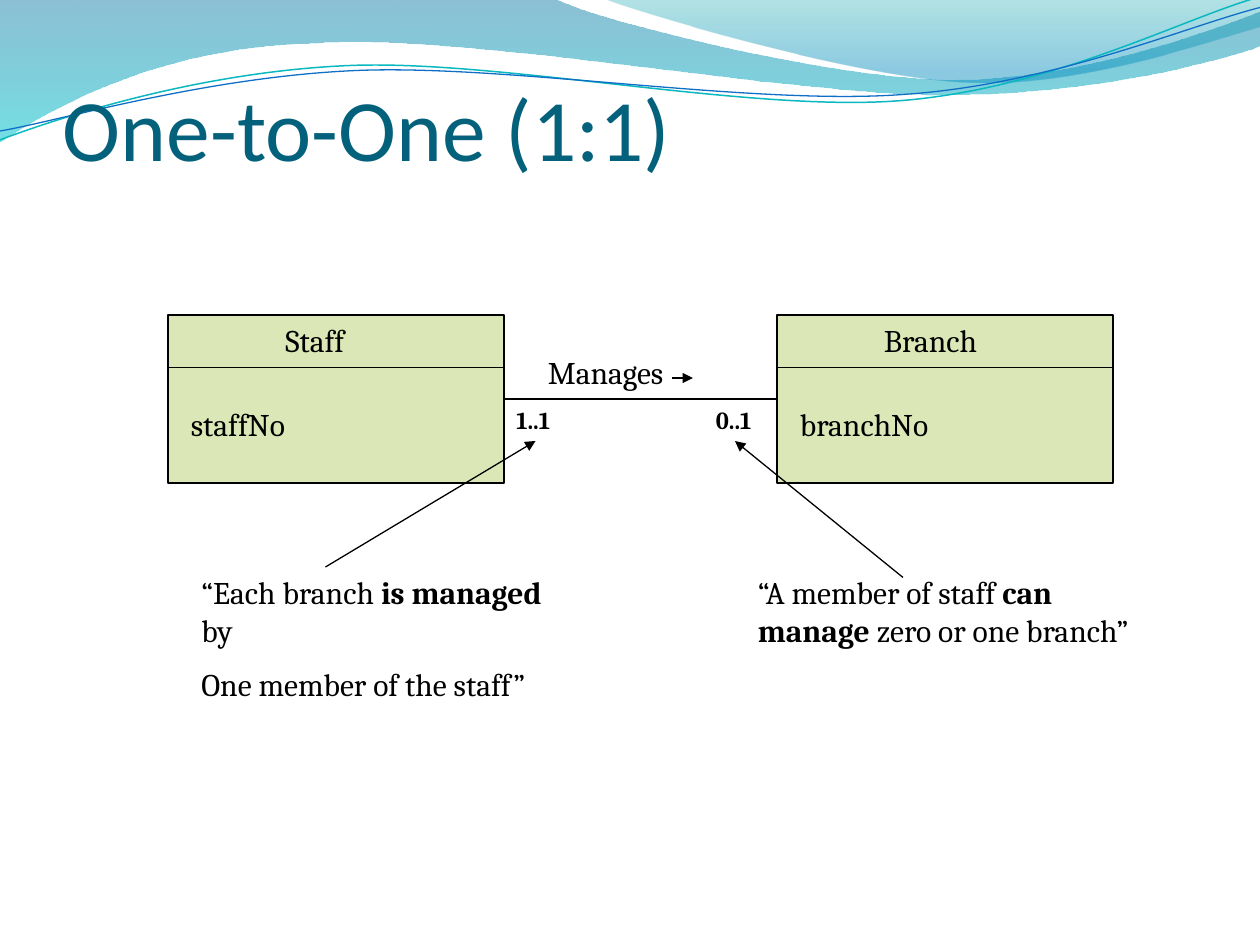
from math import cos, radians, sin

from lxml import etree
from pptx import Presentation
from pptx.dml.color import RGBColor
from pptx.enum.shapes import MSO_CONNECTOR, MSO_SHAPE
from pptx.enum.text import MSO_ANCHOR, MSO_AUTO_SIZE
from pptx.oxml.ns import qn
from pptx.util import Inches, Pt

STRAIGHT = MSO_CONNECTOR.STRAIGHT
RECTANGLE = MSO_SHAPE.RECTANGLE
BOTTOM = MSO_ANCHOR.BOTTOM
GROW, FIXED = MSO_AUTO_SIZE.SHAPE_TO_FIT_TEXT, MSO_AUTO_SIZE.NONE

COLORS = {
    "title": "04617B", "ink": "000000", "entity": "DBE7B6",
    "wave_top": "0074A1", "wave_bottom": "00C6CF",
    "crest_top": "00A1A9", "crest_bottom": "008BBF",
    "teal": "0AB8BF", "blue": "0F6FC6",
}
TILT = 2.7  # degrees by which the ripples are turned counter-clockwise


def rgb(name):
    return RGBColor.from_string(COLORS[name])


def grid(n):
    """The diagram sits on a grid of twelve steps to the inch."""
    return Inches(n / 12)


def add_outline(s, start, segments, close):
    """Each segment holds one point (line) or three points (Bezier curve)."""
    points = [(Inches(x), Inches(y)) for seg in segments for x, y in seg]
    builder = s.shapes.build_freeform(Inches(start[0]), Inches(start[1]))
    builder.add_line_segments(points, close=close)
    sp = builder.convert_to_shape()
    sp.shadow.inherit = False
    # Join the three points of each curve
    lines = iter(list(sp._element.spPr.iter(qn("a:lnTo"))))
    for seg in segments:
        group = [next(lines) for _ in seg]
        if len(group) == 3:
            curve = etree.Element(qn("a:cubicBezTo"))
            group[0].addprevious(curve)
            for line in group:
                curve.append(line[0])
                line.getparent().remove(line)
    return sp


def add_wave(s, start, segments, stops):
    sp = add_outline(s, start, segments, True)
    sp.line.fill.background()
    sp.fill.gradient()
    sp.fill.gradient_angle = 270
    for stop, (position, color, _) in zip(sp.fill.gradient_stops, stops):
        stop.position = position
        stop.color.rgb = rgb(color)
    for clr, (_, _, opacity) in zip(sp._element.spPr.iter(qn("a:srgbClr")), stops):
        etree.SubElement(clr, qn("a:alpha"), val=str(opacity * 1000))


def add_ripple(s, center, start, segments, color, width):
    def level(point):
        dx, dy = point[0] - center[0], point[1] - center[1]
        a = radians(TILT)
        return (center[0] + dx * cos(a) - dy * sin(a),
                center[1] + dx * sin(a) + dy * cos(a))

    curves = [[level(point) for point in seg] for seg in segments]
    sp = add_outline(s, level(start), curves, False)
    sp.rotation = 360 - TILT
    sp.fill.background()
    sp.line.color.rgb = rgb(color)
    sp.line.width = Pt(width)


def add_background(s):
    add_wave(s, (0, 0), [
        [(4.4, -0.01)],
        [(4.76, 0.17), (6.64, 0.63), (7.58, 0.63)],
        [(8.53, 0.63), (9.58, 0.26), (10, 0.09)],
        [(10.01, 0.36)],
        [(9.83, 0.44), (8.7, 0.76), (7.46, 0.75)],
        [(6.22, 0.75), (3.82, 0.28), (2.57, 0.34)],
        [(1.29, 0.36), (0.46, 0.83), (-0.01, 1.13)],
        [(0, 0)],
    ], [(0, "wave_top", 45), (1, "wave_bottom", 55)])
    add_wave(s, (4.79, -0.01), [
        [(5.09, 0.11), (6.82, 0.62), (7.69, 0.65)],
        [(8.56, 0.69), (9.61, 0.32), (10, 0.21)],
        [(10, 0)],
        [(4.79, -0.01)],
    ], [(0, "crest_top", 30), (0.8, "crest_bottom", 45)])
    add_ripple(s, (4.99, 0.58), (0, 1.11), [
        [(0.48, 0.93), (1.58, 0.57), (2.77, 0.52)],
        [(3.95, 0.47), (5.93, 0.89), (7.13, 0.8)],
        [(8.33, 0.71), (9.38, 0.15), (9.98, -0.02)],
    ], "teal", 0.85)
    add_ripple(s, (5, 0.59), (0, 1.04), [
        [(0.47, 0.96), (1.64, 0.61), (2.83, 0.56)],
        [(4.03, 0.51), (5.97, 0.84), (7.17, 0.75)],
        [(8.36, 0.67), (9.41, 0.21), (10, 0.06)],
    ], "blue", 0.75)


def add_entity_box(s, x):
    sp = s.shapes.add_shape(RECTANGLE, grid(x), grid(30), grid(32), grid(16))
    sp.shadow.inherit = False
    sp.fill.solid()
    sp.fill.fore_color.rgb = rgb("entity")
    sp.line.color.rgb = rgb("ink")
    sp.line.width = Pt(0.75)


def add_line(s, x1, y1, x2, y2, arrow=False):
    line = s.shapes.add_connector(STRAIGHT, grid(x1), grid(y1), grid(x2), grid(y2))
    line.line.color.rgb = rgb("ink")
    line.line.width = Pt(0.75)
    if arrow:
        ln = line._element.spPr.find(qn("a:ln"))
        etree.SubElement(ln, qn("a:tailEnd"), type="triangle")
    etree.SubElement(line._element.spPr, qn("a:effectLst"))


def add_run(p, text, size, font, color, bold=False):
    r = p.add_run()
    r.text = text
    r.font.name = font
    r.font.size = Pt(size)
    r.font.bold = bold
    r.font.color.rgb = rgb(color)


def add_title(s, text):
    box = s.shapes.add_textbox(Inches(0.5), Inches(0.17), Inches(9), Inches(1.25))
    tf = box.text_frame
    tf.word_wrap = True
    tf.auto_size = FIXED
    tf.vertical_anchor = BOTTOM
    tf.margin_left = tf.margin_right = tf.margin_bottom = 0
    add_run(tf.paragraphs[0], text, 50, "Calibri", "title")


def add_text(s, x, y, w, h, paragraphs, size=18):
    """Each paragraph is a list of (text, bold) runs."""
    box = s.shapes.add_textbox(grid(x), grid(y), grid(w), Inches(h))
    tf = box.text_frame
    tf.word_wrap = True
    tf.auto_size = GROW
    for i, runs in enumerate(paragraphs):
        p = tf.add_paragraph() if i else tf.paragraphs[0]
        p.space_before = Pt(size / 2 if i else 0)
        for text, bold in runs:
            add_run(p, text, size, "Cambria", "ink", bold)


def main():
    prs = Presentation()
    prs.slide_width, prs.slide_height = Inches(10), Inches(7.5)
    s = prs.slides.add_slide(prs.slide_layouts[6])
    add_background(s)
    add_title(s, "One-to-One (1:1)")

    # Entity boxes, dividers and the relationship line
    entities = (16, 74)
    for x in entities:
        add_entity_box(s, x)
    for x in entities:
        add_line(s, x, 35, x + 32, 35)
    add_line(s, 48, 38, 74, 38)

    # Entity names, keys and the relationship name
    for x, y, w, label in ((26, 30, 16, "Staff"), (17, 38, 28, "staffNo"),
                           (83, 30, 28, "Branch"), (75, 38, 28, "branchNo"),
                           (51, 33, 18, "Manages")):
        add_text(s, x, y, w, 0.4, [[(label, False)]])
    add_line(s, 64, 36, 66, 36, arrow=True)

    # Multiplicities
    for x, label in ((48, "1..1"), (67, "0..1")):
        add_text(s, x, 38, 7, 0.33, [[(label, True)]], size=14)

    # Explanations
    add_text(s, 18, 54, 38, 0.85, [
        [("“Each branch ", False), ("is managed ", True), ("by", False)],
        [("One member of the staff”", False)],
    ])
    add_line(s, 31, 54, 51, 42, arrow=True)
    add_text(s, 71, 54, 38, 0.7, [
        [("“A member of staff ", False), ("can manage ", True),
         ("zero or one branch”", False)],
    ])
    add_line(s, 86, 55, 70, 42, arrow=True)

    prs.save("out.pptx")


main()
